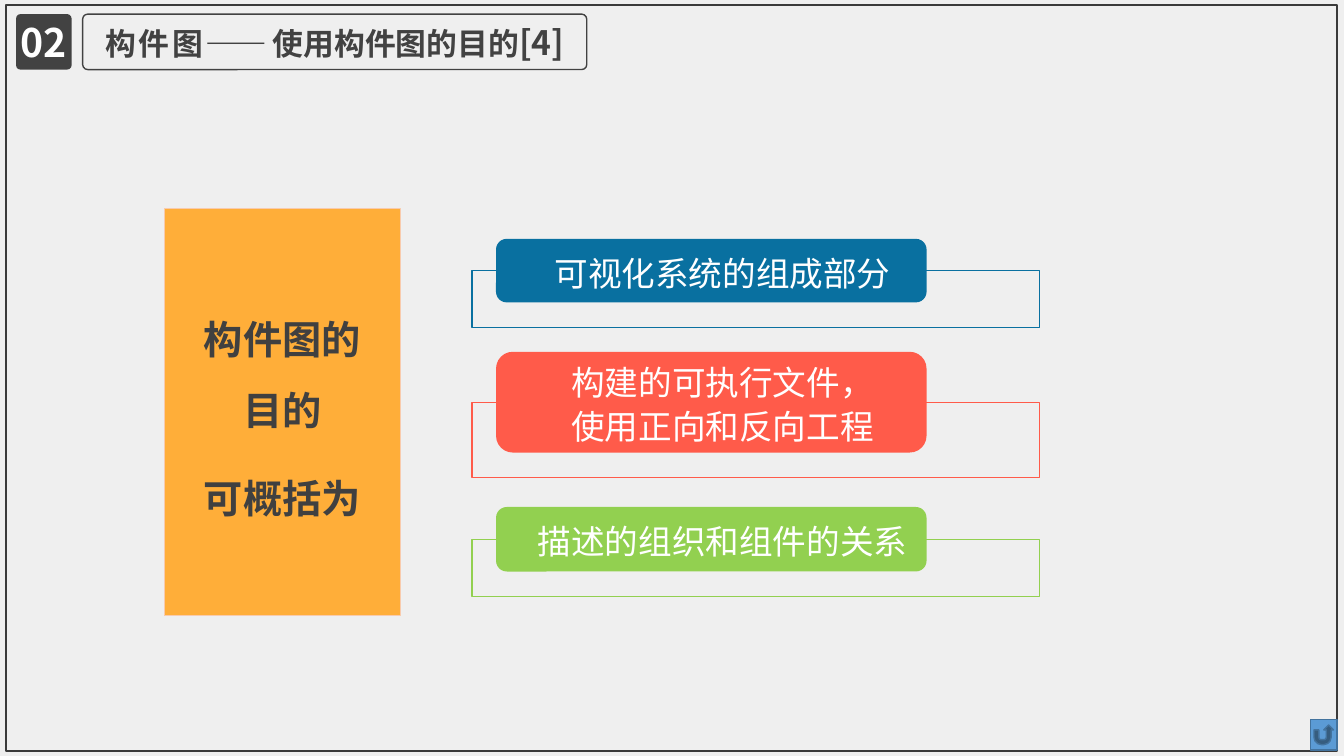
from lxml.etree import SubElement
from pptx import Presentation
from pptx.dml.color import RGBColor
from pptx.enum.shapes import MSO_SHAPE as SHAPE
from pptx.enum.text import MSO_ANCHOR, PP_ALIGN
from pptx.oxml.ns import qn
from pptx.util import Inches, Pt

FONT = "Noto Sans CJK SC"
BACKGROUND = RGBColor(0xEF, 0xEF, 0xEF)
FRAME = RGBColor(0x3A, 0x3A, 0x3A)
DARK = RGBColor(0x42, 0x42, 0x42)
TEXT = RGBColor(0x40, 0x40, 0x40)
WHITE = RGBColor(0xFF, 0xFF, 0xFF)
ORANGE = RGBColor(0xFF, 0xAE, 0x39)
PEACH = RGBColor(0xF8, 0xCB, 0xAD)
BLUE = RGBColor(0x09, 0x70, 0xA0)
RED = RGBColor(0xFF, 0x5B, 0x4A)
GREEN = RGBColor(0x92, 0xD0, 0x50)
BUTTON = RGBColor(0x5B, 0x9B, 0xD5)
BUTTON_EDGE = RGBColor(0x43, 0x73, 0x9E)

# Box (left, top, width, height), colour and lines of each purpose
PURPOSES = [
    ((4.68, 2.37, 5.63, 0.88), BLUE, ["可视化系统的组成部分"]),
    ((4.68, 3.49, 5.63, 1.25), RED, ["构建的可执行文件，", "使用正向和反向工程"]),
    ((4.68, 5.03, 5.63, 0.89), GREEN, ["描述的组织和组件的关系"]),
]


def add_box(slide, kind, box, fill=None, line=None, width=1, radius=None):
    s = slide.shapes.add_shape(kind, *map(Inches, box))
    s.shadow.inherit = False
    if fill is None:
        s.fill.background()
    else:
        s.fill.solid()
        s.fill.fore_color.rgb = fill
    if line is None:
        s.line.fill.background()
    else:
        s.line.color.rgb = line
        s.line.width = Pt(width)
    if radius is not None:
        s.adjustments[0] = radius
    return s


def set_font(font, props, size, color, bold=False):
    """Style a font, naming the typeface for Latin and East Asian text."""
    font.name, font.size, font.bold = FONT, Pt(size), bold
    font.color.rgb = color
    SubElement(props, qn("a:ea")).set("typeface", FONT)


def write(tf, lines, size, color, bold=False, spacing=None, gap=None):
    tf.word_wrap = True
    for i, line in enumerate(lines):
        p = tf.paragraphs[0] if i == 0 else tf.add_paragraph()
        p.text = line
        p.alignment = PP_ALIGN.CENTER
        p.line_spacing = spacing
        if gap:
            p.space_after = Pt(gap)
            if i:
                p.space_before = Pt(gap)
        font = p.font
        set_font(font, p._p.pPr.find(qn("a:defRPr")), size, color, bold)


def add_header(slide, left, top, height):
    badge = add_box(slide, SHAPE.ROUNDED_RECTANGLE, (left, top, height, height),
                    fill=DARK, radius=0.076)
    tf = badge.text_frame
    tf.margin_left = tf.margin_right = tf.margin_top = tf.margin_bottom = 0
    tf.vertical_anchor = MSO_ANCHOR.MIDDLE
    write(tf, ["02"], 28, WHITE, bold=True)

    title = add_box(slide, SHAPE.ROUNDED_RECTANGLE,
                    (left + height + 0.11, top, 5, height), line=DARK, radius=0.091)
    tf = title.text_frame
    tf.word_wrap = True
    tf.vertical_anchor = MSO_ANCHOR.MIDDLE
    p = tf.paragraphs[0]
    p.alignment = PP_ALIGN.CENTER
    for text, size, tracking in [("构件图——", 22, 200),
                                 ("使用构件图的目的", 22, 0), ("[4]", 24, 0)]:
        r = p.add_run()
        r.text = text
        props = r._r.get_or_add_rPr()
        props.set("spc", str(tracking))
        set_font(r.font, props, size, DARK, bold=True)


def add_topic(slide, left, top, width, height):
    add_box(slide, SHAPE.RECTANGLE, (left, top, width, height), ORANGE, PEACH, 0.75)
    label = slide.shapes.add_textbox(Inches(left + 0.22), Inches(top + 0.78),
                                     Inches(1.9), Inches(2.39))
    write(label.text_frame, ["构件图的目的", "可概括为"], 28, TEXT,
          bold=True, spacing=1.5, gap=6)


def add_purpose(slide, box, color, lines):
    """Draw an outline with a coloured label overlapping its top edge."""
    left, top, width, height = box
    label_height = height - 0.25
    drop = label_height / 2
    add_box(slide, SHAPE.RECTANGLE, (left, top + drop, width, height - drop), line=color)
    label = add_box(slide, SHAPE.ROUNDED_RECTANGLE,
                    (left + 0.24, top, 4.27, label_height), fill=color)
    tf = label.text_frame
    tf.margin_left = Inches(0.32)
    tf.vertical_anchor = MSO_ANCHOR.MIDDLE
    write(tf, lines, 24, WHITE, spacing=1.1)


def main():
    prs = Presentation()
    prs.slide_width, prs.slide_height = Inches(13.33), Inches(7.5)
    slide = prs.slides.add_slide(prs.slide_layouts[6])
    slide.background.fill.solid()
    slide.background.fill.fore_color.rgb = BACKGROUND
    add_box(slide, SHAPE.RECTANGLE, (0.06, 0.05, 13.2, 7.4), line=FRAME)
    add_header(slide, 0.16, 0.14, 0.55)
    add_topic(slide, 1.63, 2.07, 2.34, 4.04)
    for box, color, lines in PURPOSES:
        add_purpose(slide, box, color, lines)
    add_box(slide, SHAPE.ACTION_BUTTON_RETURN, (13, 7.14, 0.26, 0.3), BUTTON, BUTTON_EDGE)
    prs.save("out.pptx")


if __name__ == "__main__":
    main()
